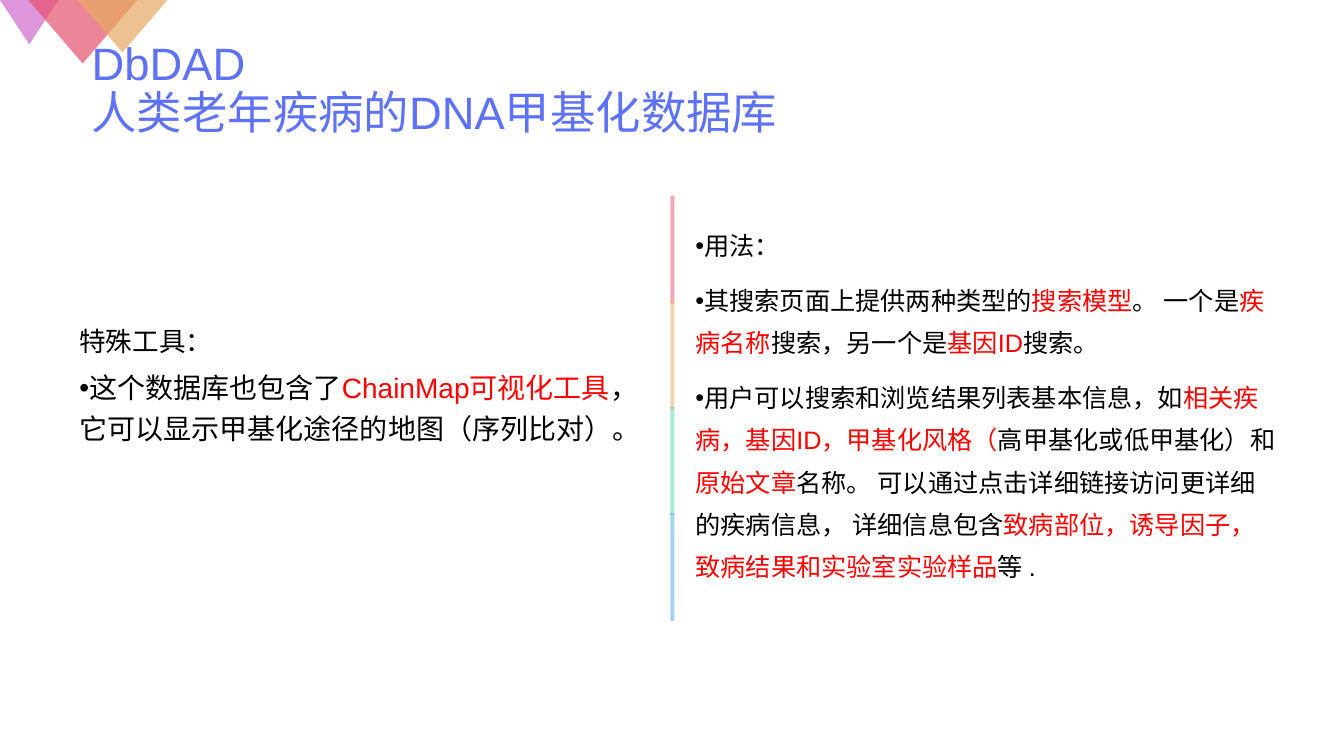
"""Build the DbDAD slide on special tools and usage."""
from lxml.etree import SubElement
from pptx import Presentation
from pptx.dml.color import RGBColor
from pptx.enum.shapes import MSO_SHAPE
from pptx.enum.text import MSO_ANCHOR
from pptx.oxml.ns import qn
from pptx.util import Inches, Pt

COLORS = {
    "purple": "CF68CD", "rose": "E6526D", "orange": "E8A962",
    "green": "54D6A8", "sky": "4AADEE",
    "title": "5E72F7", "black": "000000", "red": "FF0000",
}

deck = Presentation()
deck.slide_width, deck.slide_height = Inches(13.33), Inches(7.5)
slide = deck.slides.add_slide(deck.slide_layouts[6])


def add_block(kind, box, color, alpha):
    block = slide.shapes.add_shape(kind, *map(Inches, box))
    block.shadow.inherit = False
    block.line.fill.background()
    block.fill.solid()
    block.fill.fore_color.rgb = RGBColor.from_string(COLORS[color])
    tint = block.fill._xPr.find(".//" + qn("a:srgbClr"))
    SubElement(tint, qn("a:alpha"), val=str(alpha * 1000))
    return block


def add_text(box, rows):
    frame = slide.shapes.add_textbox(*map(Inches, box)).text_frame
    frame.word_wrap = True
    for i, (size, line, gap, bullet, runs) in enumerate(rows):
        para = frame.add_paragraph() if i else frame.paragraphs[0]
        if bullet:
            props = para._p.get_or_add_pPr()
            props.set("marL", "0")
            props.set("indent", str(-Inches(0.25)))
            SubElement(props, qn("a:buFont"), typeface="Arial")
            SubElement(props, qn("a:buChar"), char="•")
        para.line_spacing = line
        para.space_before = Pt(gap if i else 0)
        para.font.name, para.font.size = "Arial", Pt(size)
        for color, text in runs:
            for j, part in enumerate(text.split("\n")):
                if j:
                    para.add_line_break()
                run = para.add_run()
                run.text = part
                run.font.color.rgb = RGBColor.from_string(COLORS[color])
    return frame


for left, width, height, color in [
    (0, 0.58, 0.44, "purple"),
    (0.28, 1.08, 0.63, "rose"),
    (0.77, 0.89, 0.52, "orange"),
]:
    corner = add_block(MSO_SHAPE.ISOSCELES_TRIANGLE, (left, 0, width, height), color, 70)
    corner.rotation = 180

title = add_text((0.81, 0.43, 11.61, 0.94), [
    (32.4, 0.9, 0, False, [("title", "DbDAD\n人类老年疾病的DNA甲基化数据库")]),
])
title.vertical_anchor = MSO_ANCHOR.MIDDLE
title.margin_top = title.margin_bottom = 0

add_text((0.69, 3.21, 5.84, 1.89), [
    (19, 0.9, 0, False, [("black", "特殊工具：")]),
    (20, 1.2, 5, True, [
        ("black", "这个数据库也包含了"),
        ("red", "ChainMap可视化工具"),
        ("black", "，它可以显示甲基化途径的地图（序列比对）。"),
    ]),
])

usage = [
    [("black", "用法：")],
    [
        ("black", "其搜索页面上提供两种类型的"),
        ("red", "搜索模型"),
        ("black", "。 一个是"),
        ("red", "疾病名称"),
        ("black", "搜索，另一个是"),
        ("red", "基因ID"),
        ("black", "搜索。"),
    ],
    [
        ("black", "用户可以搜索和浏览结果列表基本信息，如"),
        ("red", "相关疾病，基因ID，甲基化风格（"),
        ("black", "高甲基化或低甲基化）和"),
        ("red", "原始文章"),
        ("black", "名称。 可以通过点击详细链接访问更详细的疾病信息， 详细信息包含"),
        ("red", "致病部位，诱导因子，致病结果和实验室实验样品"),
        ("black", "等 ."),
    ],
]
add_text((6.8, 2.12, 5.96, 3.9), [(18, 1.4, 8.8, True, runs) for runs in usage])

for i, color in enumerate(["rose", "orange", "green", "sky"]):
    add_block(MSO_SHAPE.RECTANGLE, (6.65, 1.94 + 1.05 * i, 0.04, 1.07), color, 50)

deck.save("out.pptx")
